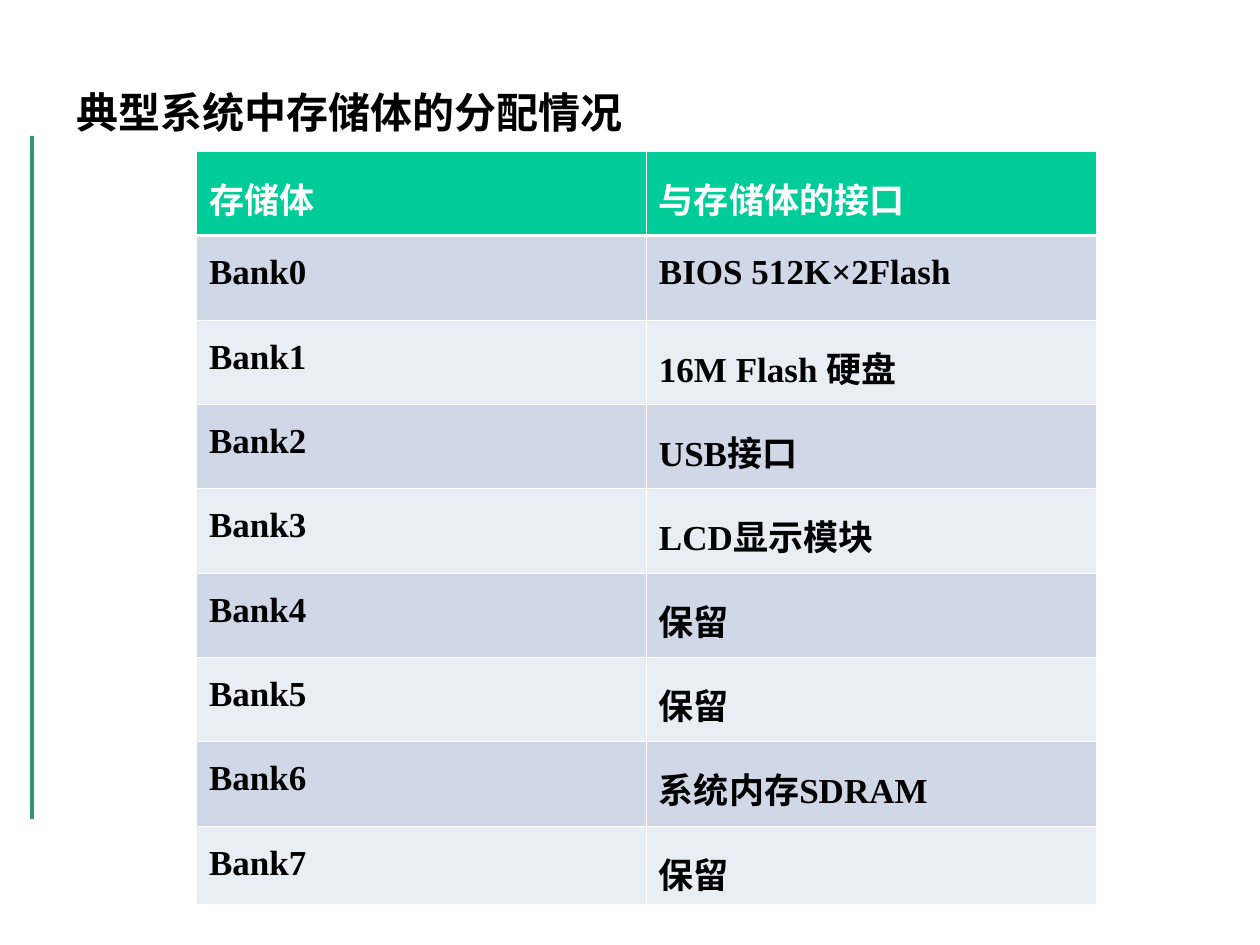
from lxml import etree
from pptx import Presentation
from pptx.dml.color import RGBColor
from pptx.enum.shapes import MSO_CONNECTOR
from pptx.oxml.ns import qn
from pptx.util import Cm, Pt

STRAIGHT = MSO_CONNECTOR.STRAIGHT
FONT = "Times New Roman"
TITLE = "典型系统中存储体的分配情况"
BANKS = [
    ("存储体", "与存储体的接口"),
    ("Bank0", "BIOS 512K×2Flash"),
    ("Bank1", "16M Flash 硬盘"),
    ("Bank2", "USB接口"),
    ("Bank3", "LCD显示模块"),
    ("Bank4", "保留"),
    ("Bank5", "保留"),
    ("Bank6", "系统内存SDRAM"),
    ("Bank7", "保留"),
]
THIN, THICK = 0.45, 1.47


def color(value):
    """Turn a hex string into a colour."""
    return RGBColor.from_string(value)


def write_text(frame, text, size, ink):
    """Put one bold line of text into a text frame."""
    para = frame.paragraphs[0]
    para.text = text
    para.line_spacing = 1.3
    para.font.name = FONT
    para.font.size = Pt(size)
    para.font.bold = True
    para.font.color.rgb = color(ink)


def add_side_line(page):
    """Draw the green vertical line at the left edge."""
    line = page.shapes.add_connector(STRAIGHT, Cm(0.64), Cm(2.74), Cm(0.64), Cm(16.51))
    line.line.color.rgb = color("339966")
    line.line.width = Pt(2.25)
    etree.SubElement(line._element.spPr, qn("a:effectLst"))


def add_title(page):
    """Add the heading box."""
    box = page.shapes.add_textbox(Cm(1.3), Cm(1.32), Cm(22.86), Cm(16.03))
    box.text_frame.word_wrap = True
    write_text(box.text_frame, TITLE, 24, "000000")


def add_border(cell, side, width):
    """Give one side of a cell a white border."""
    properties = cell._tc.get_or_add_tcPr()
    border = etree.SubElement(properties, qn(f"a:ln{side}"), w=str(Pt(width)))
    fill = etree.SubElement(border, qn("a:solidFill"))
    etree.SubElement(fill, qn("a:srgbClr"), val="FFFFFF")


def style_cell(cell, row):
    """Set the borders and the fill of a cell from its row."""
    widths = {
        "L": THIN,
        "R": THIN,
        "T": THICK if row == 1 else THIN,
        "B": THICK if row == 0 else THIN,
    }
    for side, width in widths.items():
        add_border(cell, side, width)
    band = "D0D8E8" if row % 2 else "E9EDF4"
    cell.fill.solid()
    cell.fill.fore_color.rgb = color(band if row else "00CC99")


def add_bank_table(page):
    """Add the table of memory banks and their interfaces."""
    frame = page.shapes.add_table(
        len(BANKS), 2, Cm(3.96), Cm(3.05), Cm(18.14), Cm(15.18)
    )
    table = frame.table
    for row, texts in enumerate(BANKS):
        table.rows[row].height = Cm(1.58 if row == len(BANKS) - 1 else 1.7)
        for column, text in enumerate(texts):
            cell = table.cell(row, column)
            style_cell(cell, row)
            write_text(cell.text_frame, text, 20, "000000" if row else "FFFFFF")


def main():
    """Build the slide and save the deck."""
    deck = Presentation()
    deck.slide_width, deck.slide_height = Cm(25.4), Cm(19.05)
    page = deck.slides.add_slide(deck.slide_layouts[6])
    add_side_line(page)
    add_title(page)
    add_bank_table(page)
    deck.save("out.pptx")


if __name__ == "__main__":
    main()
